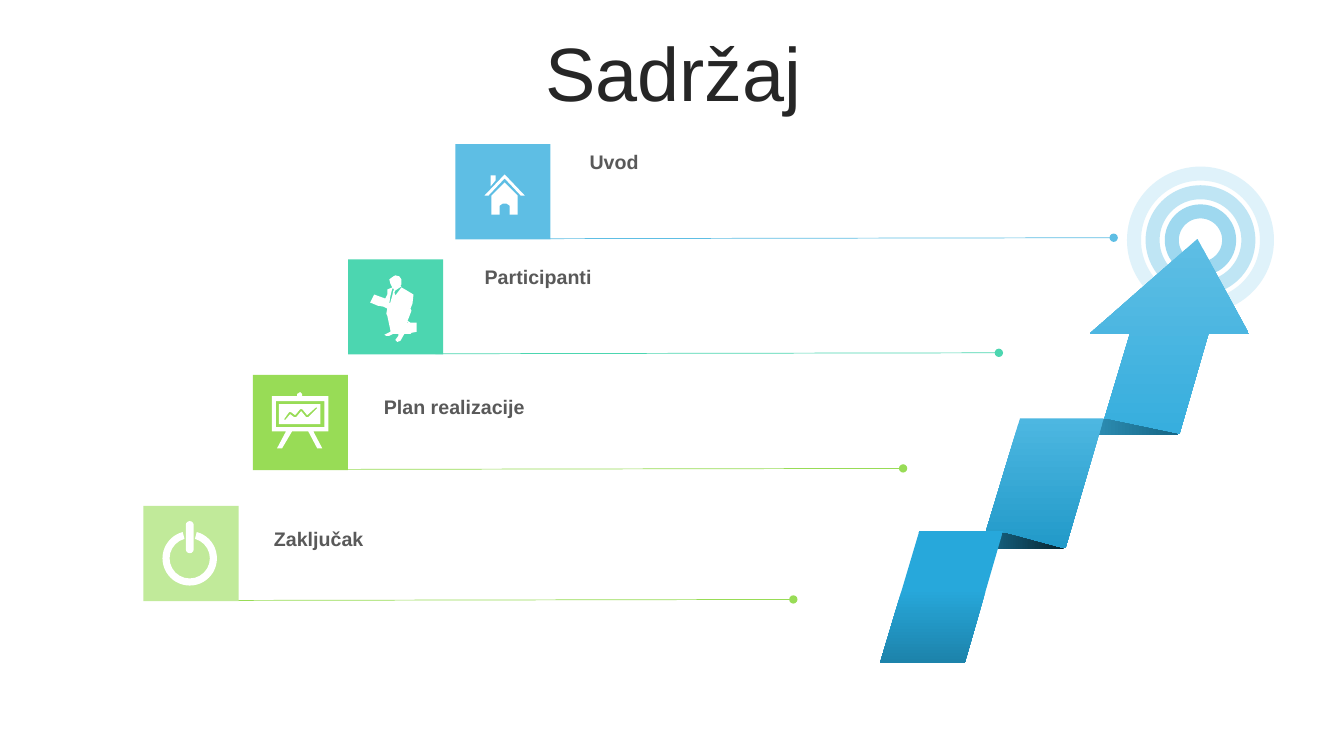
"""Build the contents slide with four icon steps and a folded arrow hitting a target."""
from dataclasses import dataclass

from lxml.etree import SubElement
from pptx import Presentation
from pptx.dml.color import RGBColor
from pptx.enum.shapes import MSO_CONNECTOR, MSO_SHAPE
from pptx.enum.text import MSO_ANCHOR, PP_ALIGN
from pptx.oxml.ns import qn
from pptx.shapes.autoshape import Shape
from pptx.slide import Slide
from pptx.util import Pt

Contour = list[tuple[int, int]]

WHITE = RGBColor(0xFF, 0xFF, 0xFF)
TITLE_INK = RGBColor(0x26, 0x26, 0x26)
LABEL_INK = RGBColor(0x59, 0x59, 0x59)
SKY = RGBColor(0x5E, 0xBE, 0xE4)
MINT = RGBColor(0x4C, 0xD6, 0xB0)
LIME = RGBColor(0x98, 0xDC, 0x56)
PALE_LIME = RGBColor(0xC1, 0xEA, 0x9A)

FONT = "Arial"
GRID = 0.72
TILE = 68
LINE_LENGTH = 402.5
DOWNWARD = 270
RIGHTWARD = 0

HOUSE: list[Contour] = [
    [(49, 38), (62, 51), (62, 70), (54, 70), (54, 61), (51, 59), (47, 59), (44, 61),
     (44, 70), (36, 70), (36, 51)],
    [(35, 31), (40, 31), (40, 36), (35, 42)],
    [(49, 30), (69, 51), (65, 51), (49, 34), (33, 51), (29, 51)],
]
PERSON: list[Contour] = [
    [(47, 16), (51, 17), (53, 20), (53, 25), (52, 26), (53, 27), (47, 31), (46, 33),
     (47, 36), (53, 28), (55, 29), (65, 35), (64, 44), (62, 49), (63, 51), (60, 59),
     (59, 61), (62, 63), (68, 63), (68, 72), (63, 73), (62, 74), (56, 74), (52, 81),
     (49, 82), (47, 80), (50, 76), (50, 74), (45, 74), (41, 76), (38, 76), (36, 75),
     (42, 72), (42, 70), (39, 56), (38, 54), (39, 49), (35, 47), (29, 46), (27, 45),
     (22, 43), (26, 35), (37, 39), (39, 35), (39, 30), (44, 28), (42, 24), (41, 20),
     (45, 17)],
    [(44, 29), (42, 37), (41, 44), (42, 43), (44, 36), (45, 31), (46, 31), (45, 29)],
    [(59, 62), (58, 63), (60, 63)],
]
EASEL: list[Contour] = [
    [(47, 17), (49, 19), (49, 21), (75, 21), (75, 56), (60, 56), (69, 73), (64, 73),
     (55, 56), (39, 56), (29, 73), (24, 73), (33, 56), (19, 56), (19, 21), (44, 21),
     (44, 19)],
    [(23, 26), (23, 52), (71, 52), (71, 26)],
    [(26, 29), (67, 29), (67, 49), (26, 49)],
    [(63, 32), (54, 40), (49, 34), (47, 34), (42, 40), (38, 37), (36, 37), (31, 44),
     (32, 45), (37, 39), (41, 42), (43, 42), (48, 36), (53, 42), (55, 42), (64, 33)],
]


@dataclass(frozen=True)
class Step:
    label: str
    tile_left: float
    tile_top: float
    label_left: float
    label_top: float
    line_left: float
    tile_color: RGBColor
    line_color: RGBColor
    icon: list[Contour]


@dataclass(frozen=True)
class Ring:
    diameter: float
    color: RGBColor


@dataclass(frozen=True)
class Ribbon:
    contour: Contour
    start: RGBColor
    end: RGBColor
    angle: int = DOWNWARD
    start_position: float = 0


STEPS = [
    Step("Uvod", 325.2, 103, 414, 103.7, 393, SKY, SKY, HOUSE),
    Step("Participanti", 248.6, 185.2, 339.1, 185.8, 311, MINT, MINT, PERSON),
    Step("Plan realizacije", 180.6, 267.8, 267.1, 278.6, 242.6, LIME, LIME, EASEL),
    Step("Zaključak", 102.4, 361.4, 188.6, 373, 164.2, PALE_LIME, LIME, []),
]
RINGS = [
    Ring(68.4, RGBColor(0xBF, 0xE5, 0xF4)),
    Ring(41, RGBColor(0x9E, 0xD8, 0xEF)),
    Ring(95, RGBColor(0xDF, 0xF2, 0xFA)),
]
RIBBONS = [
    Ribbon([(1188, 237), (1239, 331), (1199, 331), (1170, 431), (1091, 431), (1121, 331),
            (1081, 331)], SKY, RGBColor(0x37, 0xAE, 0xDE)),
    Ribbon([(1169, 431), (1098, 416), (1014, 416), (1064, 432)],
           RGBColor(0x42, 0xB3, 0xDF), RGBColor(0x16, 0x65, 0x84), RIGHTWARD),
    Ribbon([(1012, 415), (1095, 415), (1057, 544), (973, 544)],
           RGBColor(0x4D, 0xB7, 0xE1), RGBColor(0x22, 0x9A, 0xC9)),
    Ribbon([(1056, 545), (997, 529), (911, 528), (957, 544)],
           RGBColor(0x24, 0xA4, 0xD7), RGBColor(0x08, 0x24, 0x2F), RIGHTWARD),
    Ribbon([(912, 527), (995, 527), (957, 658), (873, 658)],
           RGBColor(0x27, 0xA8, 0xDB), RGBColor(0x1D, 0x83, 0xAB), start_position=0.44),
]


def add_text(page: Slide, text: str, left: float, top: float, width: float, height: float,
             size: float, color: RGBColor, bold: bool = False) -> Shape:
    box = page.shapes.add_textbox(Pt(left), Pt(top), Pt(width), Pt(height))
    box.text_frame.word_wrap = True
    para = box.text_frame.paragraphs[0]
    para.text = text
    para.font.name = FONT
    para.font.size = Pt(size)
    para.font.bold = bold
    para.font.color.rgb = color
    return box


def add_solid(page: Slide, kind: MSO_SHAPE, left: float, top: float, width: float,
              height: float, color: RGBColor) -> Shape:
    shape = page.shapes.add_shape(kind, Pt(left), Pt(top), Pt(width), Pt(height))
    shape.shadow.inherit = False
    shape.fill.solid()
    shape.fill.fore_color.rgb = color
    shape.line.fill.background()
    return shape


def add_outline(page: Slide, contours: list[Contour], left: float = 0, top: float = 0) -> Shape:
    builder = page.shapes.build_freeform(*contours[0][0], scale=Pt(GRID))
    builder.add_line_segments(contours[0][1:])
    for contour in contours[1:]:
        builder.move_to(*contour[0])
        builder.add_line_segments(contour[1:])
    shape = builder.convert_to_shape(Pt(left), Pt(top))
    shape.shadow.inherit = False
    shape.line.fill.background()
    return shape


def add_ring(page: Slide, ring: Ring) -> None:
    left, top = 857.5 - ring.diameter / 2, 171.5 - ring.diameter / 2
    circle = add_solid(page, MSO_SHAPE.OVAL, left, top, ring.diameter, ring.diameter, WHITE)
    circle.fill.background()
    circle.line.color.rgb = ring.color
    circle.line.width = Pt(10)


def add_ribbon(page: Slide, ribbon: Ribbon) -> None:
    fill = add_outline(page, [ribbon.contour]).fill
    fill.gradient()
    fill.gradient_angle = ribbon.angle
    first, last = fill.gradient_stops
    first.position, last.position = ribbon.start_position, 0.99
    first.color.rgb, last.color.rgb = ribbon.start, ribbon.end


def add_power_icon(page: Slide, left: float, top: float) -> None:
    arc = add_solid(page, MSO_SHAPE.BLOCK_ARC, left + 13.7, top + 18, 38.9, 38.9, WHITE)
    for index, value in enumerate((171, 153, 0.13)):
        arc.adjustments[index] = value
    bar = add_solid(page, MSO_SHAPE.ROUNDED_RECTANGLE, left + 30.3, top + 10.8, 5.7, 23, WHITE)
    bar.adjustments[0] = 0.5


def add_step(page: Slide, step: Step) -> None:
    bottom = step.tile_top + TILE
    line = page.shapes.add_connector(
        MSO_CONNECTOR.STRAIGHT, Pt(step.line_left), Pt(bottom - 0.5),
        Pt(step.line_left + LINE_LENGTH), Pt(bottom - 1.2))
    line.line.color.rgb = step.line_color
    line.line.width = Pt(0.5)
    SubElement(line.line._get_or_add_ln(), qn("a:tailEnd"), type="oval")
    SubElement(line._element.spPr, qn("a:effectLst"))
    add_text(page, step.label, step.label_left, step.label_top, 367, 24.2, 14, LABEL_INK, True)
    add_solid(page, MSO_SHAPE.RECTANGLE, step.tile_left, step.tile_top, TILE, TILE, step.tile_color)
    if step.icon:
        icon = add_outline(page, step.icon, step.tile_left, step.tile_top)
        icon.fill.solid()
        icon.fill.fore_color.rgb = WHITE
    else:
        add_power_icon(page, step.tile_left, step.tile_top)


def main() -> None:
    deck = Presentation()
    deck.slide_width, deck.slide_height = Pt(960), Pt(540)
    page = deck.slides.add_slide(deck.slide_layouts[6])
    title = add_text(page, "Sadržaj", 25.2, 26.6, 911.5, 56.9, 54, TITLE_INK)
    title.text_frame.vertical_anchor = MSO_ANCHOR.MIDDLE
    para = title.text_frame.paragraphs[0]
    para.alignment = PP_ALIGN.CENTER
    para.line_spacing = 0.9
    para.space_before = Pt(10)
    for ring in RINGS:
        add_ring(page, ring)
    for ribbon in RIBBONS:
        add_ribbon(page, ribbon)
    for step in STEPS:
        add_step(page, step)
    deck.save("out.pptx")


if __name__ == "__main__":
    main()
